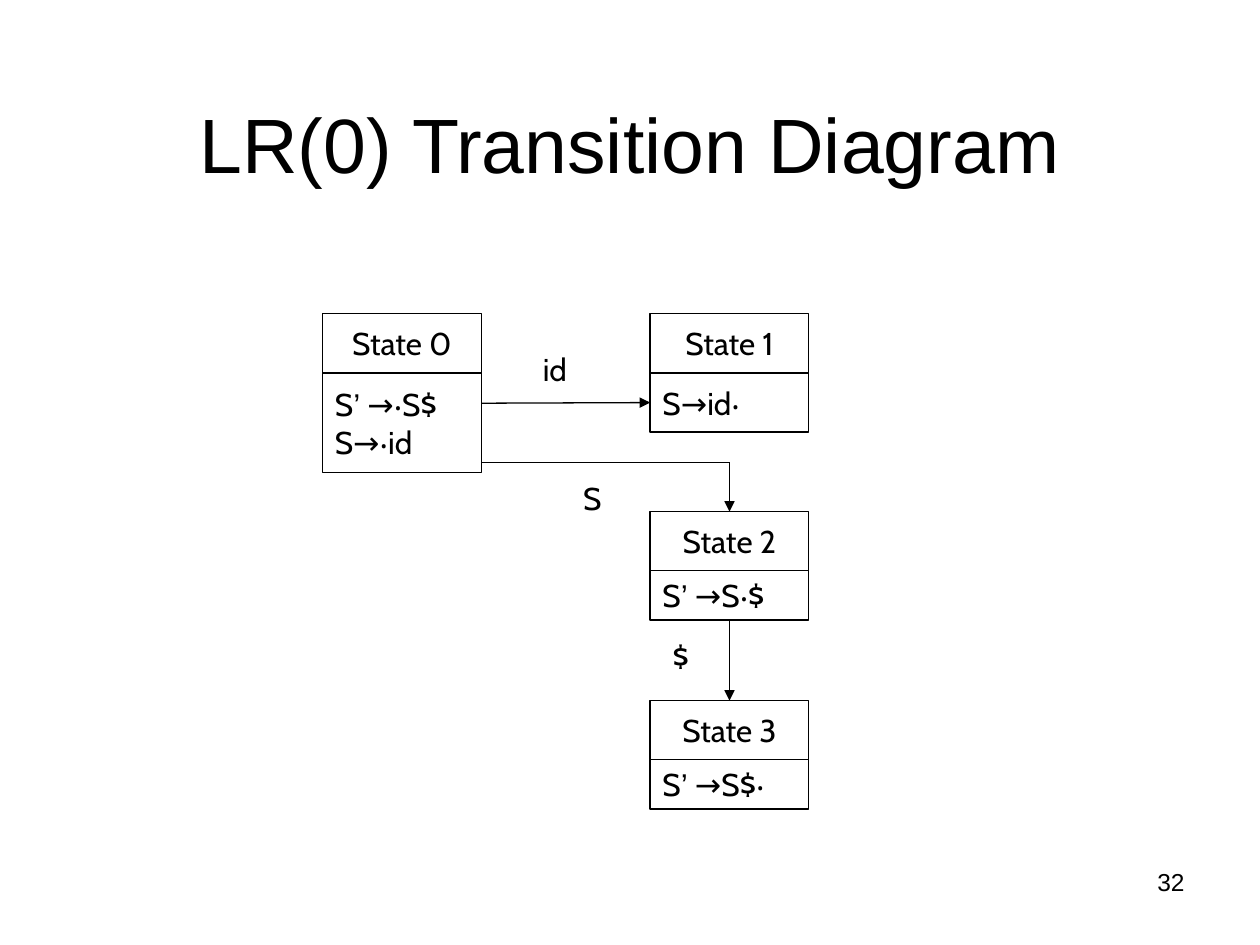
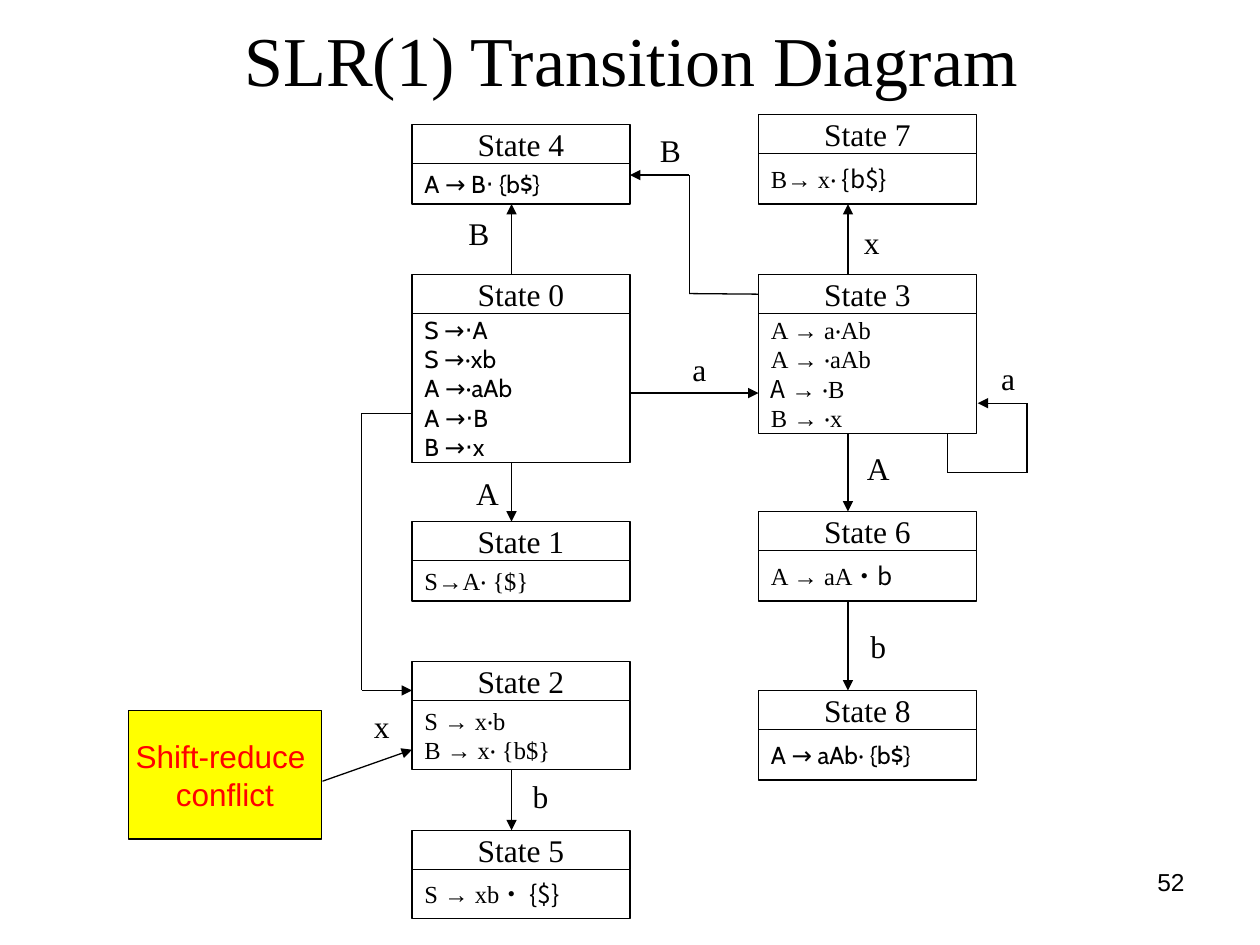
import pptx
import pptx.dml.color
import pptx.enum.shapes
import pptx.enum.text
import pptx.oxml.ns
import pptx.util
from lxml import etree

Inches = pptx.util.Inches
ALIGN = pptx.enum.text.PP_ALIGN
ANCHOR = pptx.enum.text.MSO_ANCHOR
RECTANGLE = pptx.enum.shapes.MSO_SHAPE.RECTANGLE
STRAIGHT = pptx.enum.shapes.MSO_CONNECTOR.STRAIGHT

COLORS = {"ink": "000000", "paper": "FFFFFF", "warning": "FFFF00", "alert": "FF0000"}
ARIAL, CABIN, TIMES, CJK = "Arial", "Cabin", "Times New Roman", "Noto Sans CJK TC"
TOP, LEFT, BOTTOM = 0, 1, 2


def color(name):
    return pptx.dml.color.RGBColor.from_string(COLORS[name])


def write_lines(shape, lines, size, align=ALIGN.LEFT, anchor=ANCHOR.MIDDLE, wrap=False, ink="ink"):
    """Each line is a list of (text, font name) runs."""
    frame = shape.text_frame
    frame.word_wrap = wrap
    frame.vertical_anchor = anchor
    for index, line in enumerate(lines):
        paragraph = frame.add_paragraph() if index else frame.paragraphs[0]
        paragraph.alignment = align
        paragraph.font.size = pptx.util.Pt(size)
        paragraph.font.color.rgb = color(ink)
        if len(line) == 1:
            paragraph.font.name = line[0][1]
        for text, font_name in line:
            run = paragraph.add_run()
            run.text = text
            if len(line) > 1:
                run.font.name = font_name


def add_text(slide, box, text, font_name, size, **options):
    shape = slide.shapes.add_textbox(*map(Inches, box))
    write_lines(shape, [[(text, font_name)]], size, **options)
    return shape


def add_box(slide, box, lines, size, align=ALIGN.CENTER, fill="paper", outline="ink", ink="ink"):
    shape = slide.shapes.add_shape(RECTANGLE, *map(Inches, box))
    shape.shadow.inherit = False
    shape.fill.solid()
    shape.fill.fore_color.rgb = color(fill)
    shape.line.color.rgb = color(outline)
    shape.line.width = pptx.util.Pt(0.75)
    write_lines(shape, lines, size, align, ink=ink)
    return shape


def add_state(slide, box, number, items, header_height, font_name, item_size):
    """A header with the state's number above a body with its items."""
    left, top, width, body_height = box
    header = add_box(slide, (left, top, width, header_height), [[(f"State {number}", font_name)]], 18)
    body = add_box(slide, (left, top + header_height, width, body_height), items, item_size, ALIGN.LEFT)
    return header, body


def add_route(slide, points, begin=None, end=None):
    """Straight segments through the points, with an arrowhead on the last."""
    last = len(points) - 2
    for index, (start, stop) in enumerate(zip(points, points[1:])):
        connector = slide.shapes.add_connector(STRAIGHT, *map(Inches, start + stop))
        connector.line.color.rgb = color("ink")
        connector.line.width = pptx.util.Pt(0.75)
        properties = connector._element.spPr
        etree.SubElement(properties, pptx.oxml.ns.qn("a:effectLst"))
        if index == 0 and begin:
            connector.begin_connect(*begin)
        if index == last:
            etree.SubElement(connector.line._get_or_add_ln(), pptx.oxml.ns.qn("a:tailEnd"), type="triangle")
            if end:
                connector.end_connect(*end)


def add_base_slide(presentation, title, title_box, title_font, title_size, number):
    slide = presentation.slides.add_slide(presentation.slide_layouts[6])
    add_text(slide, (7.17, 6.83, 2.33, 0.52), number, ARIAL, 14,
             align=ALIGN.RIGHT, anchor=ANCHOR.TOP, wrap=True)
    add_text(slide, title_box, title, title_font, title_size,
             align=ALIGN.CENTER, anchor=ANCHOR.BOTTOM, wrap=True)
    return slide


def build_lr0_slide(presentation):
    slide = add_base_slide(presentation, "LR(0) Transition Diagram", (0.5, 0.3, 9, 1.25), ARIAL, 44, "32")
    dot, prime = ("‧", ARIAL), ("’", ARIAL)

    # States: left, top, body height, items
    states = [
        (2.56, 2.49, 0.79, [[("S", CABIN), prime, (" →", CABIN), dot, ("S$", CABIN)],
                            [("S→", CABIN), dot, ("id", CABIN)]]),
        (5.16, 2.49, 0.47, [[("S→id", CABIN), dot]]),
        (5.16, 4.06, 0.39, [[("S", CABIN), prime, (" →S", CABIN), dot, ("$", CABIN)]]),
        (5.16, 5.56, 0.39, [[("S", CABIN), prime, (" →S$", CABIN), dot]]),
    ]
    parts = [add_state(slide, (left, top, 1.26, height), number, items, 0.47, CABIN, 18)
             for number, (left, top, height, items) in enumerate(states)]
    (_, _), (_, body_1), (header_2, body_2), (header_3, _) = parts

    # Transitions
    add_route(slide, [(3.82, 3.2), (5.16, 3.2)], end=(body_1, LEFT))
    add_route(slide, [(3.82, 3.67), (5.79, 3.67), (5.79, 4.06)], end=(header_2, TOP))
    add_route(slide, [(5.79, 4.93), (5.79, 5.56)], (body_2, BOTTOM), (header_3, TOP))
    for symbol, left, top, width in [("id", 4.21, 2.73, 0.4), ("S", 4.53, 3.75, 0.34), ("$", 5.24, 5.01, 0.34)]:
        label = add_text(slide, (left, top, width, 0.4), symbol, CABIN, 18)
        label.text_frame.auto_size = pptx.enum.text.MSO_AUTO_SIZE.SHAPE_TO_FIT_TEXT


def build_slr1_slide(presentation):
    slide = add_base_slide(presentation, "SLR(1) Transition Diagram", (0.51, 0.21, 9, 0.64), TIMES, 40, "52")
    dot = ("‧", TIMES)
    left_column, right_column = 3.27, 6.02

    # States: number, left, top, body height, items
    states = [
        (4, left_column, 0.99, 0.32, [[("A → B‧ {b$}", CABIN)]]),
        (0, left_column, 2.18, 1.18, [[("S →‧A", CABIN)],
                                      [("S →", CABIN), dot, ("xb", CABIN)],
                                      [("A →", CABIN), dot, ("aAb", CABIN)],
                                      [("A →‧B", CABIN)],
                                      [("B →‧x", CABIN)]]),
        (1, left_column, 4.14, 0.32, [[("S→A‧ {$}", TIMES)]]),
        (6, right_column, 4.06, 0.4, [[("A → aA", TIMES), ("‧b", CJK)]]),
        (3, right_column, 2.18, 0.95, [[("A → a‧Ab", TIMES)],
                                       [("A → ‧aAb", TIMES)],
                                       [("A ", CJK), ("→ ‧B", TIMES)],
                                       [("B → ‧x", TIMES)]]),
        (2, left_column, 5.25, 0.55, [[("S → x‧b", TIMES)], [("B → x‧ {b$}", TIMES)]]),
        (5, left_column, 6.59, 0.39, [[("S → xb", TIMES), ("‧ {$}", CJK)]]),
        (8, right_column, 5.48, 0.4, [[("A → aAb", CABIN), dot, (" {b$}", CABIN)]]),
        (7, right_column, 0.91, 0.4, [[("B→ x‧", TIMES), (" {b$}", CJK)]]),
    ]
    parts = {number: add_state(slide, (left, top, 1.73, height), number, items, 0.31, TIMES, 14)
             for number, left, top, height, items in states}

    # Transition symbols
    labels = [
        ("B", 3.64, 1.73), ("A", 3.71, 3.79), ("x", 2.87, 5.64), ("b", 4.13, 6.2), ("B", 5.16, 1.07),
        ("A", 6.81, 3.59), ("b", 6.81, 5.01), ("a", 7.84, 2.88), ("x", 6.76, 1.8), ("a", 5.39, 2.81),
    ]
    for symbol, left, top in labels:
        add_box(slide, (left, top, 0.32, 0.24), [[(symbol, TIMES)]], 18, outline="paper")

    # Vertical transitions: x, from, to
    for x, start, stop in [(4.06, 2.18, 1.62), (4.06, 3.67, 4.14), (4.06, 6.11, 6.59),
                           (6.73, 3.44, 4.06), (6.73, 4.77, 5.48), (6.73, 2.18, 1.62)]:
        add_route(slide, [(x, start), (x, stop)])

    # Transitions across and around the states
    add_route(slide, [(3.27, 3.28), (2.87, 3.28), (2.87, 5.48), (3.27, 5.48)])
    add_route(slide, [(5, 3.12), (6.02, 3.12)])
    add_route(slide, [(6.02, 2.33), (5.47, 2.33), (5.47, 1.39), (5, 1.39)], begin=(parts[3][0], LEFT))
    add_route(slide, [(7.52, 3.44), (7.52, 3.75), (8.15, 3.75), (8.15, 3.2), (7.76, 3.2)])

    # Conflict callout
    add_box(slide, (1.02, 5.64, 1.53, 1.02), [[("Shift-reduce ", ARIAL)], [("conflict", ARIAL)]], 18,
            fill="warning", ink="alert")
    add_route(slide, [(2.56, 6.2), (3.27, 5.95)])


def main():
    presentation = pptx.Presentation()
    presentation.slide_width = Inches(10)
    presentation.slide_height = Inches(7.5)
    build_lr0_slide(presentation)
    build_slr1_slide(presentation)
    presentation.save("out.pptx")


if __name__ == "__main__":
    main()
